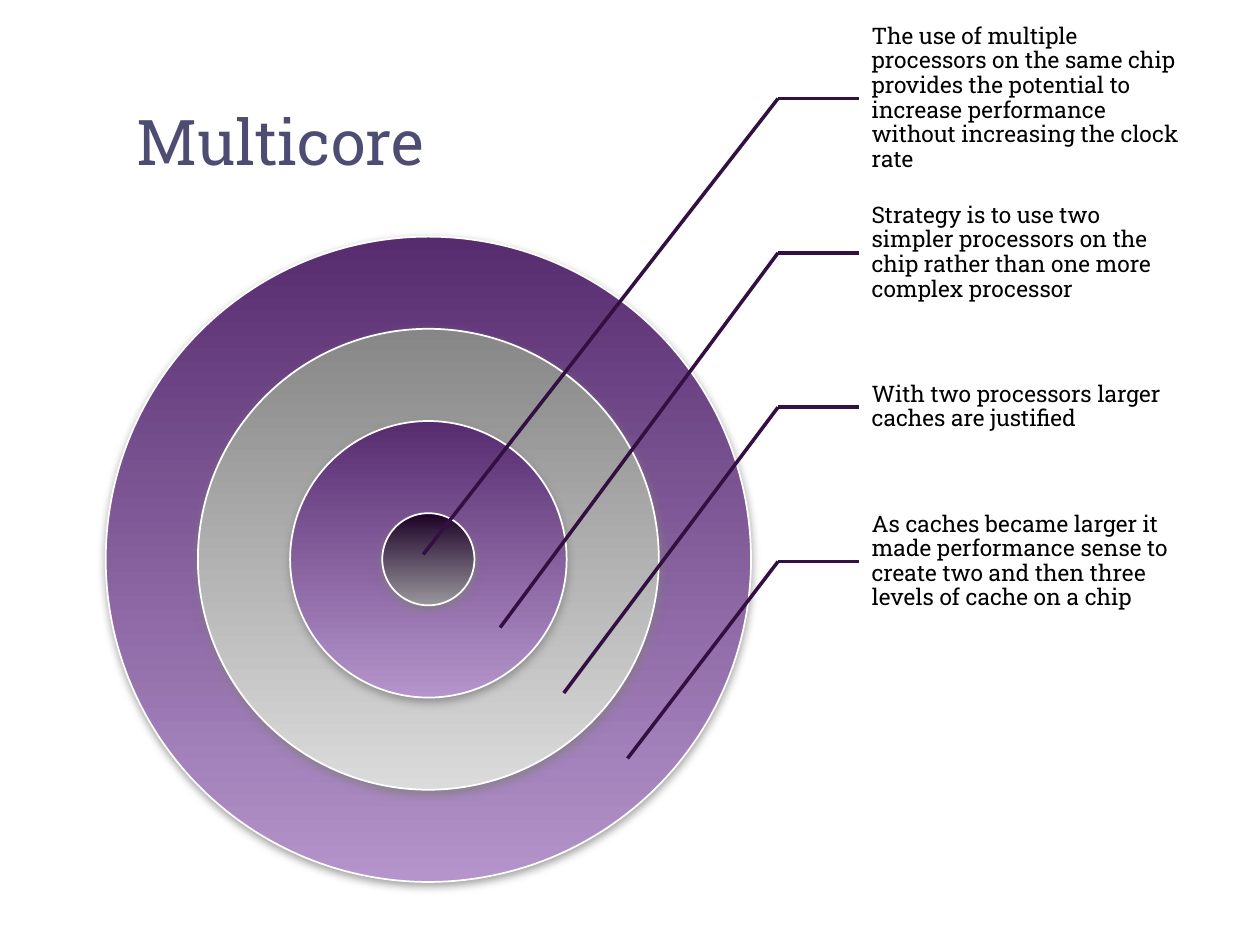
from dataclasses import dataclass

from lxml.etree import SubElement
from pptx import Presentation
from pptx.dml.color import RGBColor
from pptx.enum.shapes import MSO_CONNECTOR, MSO_SHAPE
from pptx.enum.text import MSO_ANCHOR, PP_ALIGN
from pptx.oxml.ns import qn
from pptx.util import Pt


@dataclass(frozen=True)
class Theme:
    font: str = "Roboto Slab"
    title_size: float = 36
    label_size: float = 13
    title_color: str = "4D4D73"
    label_color: str = "000000"
    leader_color: str = "330F42"
    outline_color: str = "FFFFFF"
    shadow_color: str = "808080"
    purple: tuple = ("572C6F", "B494CB")
    gray: tuple = ("878787", "DBDBDB")
    dark: tuple = ("1C0127", "99969C")


def write_text(frame, text, *, font, size, color, anchor, insets, spacing=1.0):
    frame.word_wrap = True
    frame.vertical_anchor = anchor
    frame.margin_left, frame.margin_top, frame.margin_right, frame.margin_bottom = map(Pt, insets)
    paragraph = frame.paragraphs[0]
    paragraph.alignment = PP_ALIGN.LEFT
    paragraph.line_spacing = spacing
    run = paragraph.add_run()
    run.text = text
    run.font.name = font
    run.font.size = Pt(size)
    run.font.color.rgb = RGBColor.from_string(color)


class SlideBuilder:
    """Draws styled elements on one slide, with all lengths in points."""

    def __init__(self, slide, theme):
        self.slide = slide
        self.theme = theme

    def title(self, text, left, top, width, height):
        shape = self.slide.shapes.title
        shape.left, shape.top, shape.width, shape.height = map(Pt, (left, top, width, height))
        write_text(shape.text_frame, text, font=self.theme.font, size=self.theme.title_size,
                   color=self.theme.title_color, anchor=MSO_ANCHOR.TOP, insets=(7.2, 3.6, 7.2, 3.6))

    def disc(self, center_x, center_y, diameter, colors):
        shape = self.slide.shapes.add_shape(
            MSO_SHAPE.OVAL, Pt(center_x - diameter / 2), Pt(center_y - diameter / 2),
            Pt(diameter), Pt(diameter))
        shape.fill.gradient()
        shape.fill.gradient_angle = 270
        for stop, position, color in zip(shape.fill.gradient_stops, (0, 1), colors):
            stop.position = position
            stop.color.rgb = RGBColor.from_string(color)
        shape.line.color.rgb = RGBColor.from_string(self.theme.outline_color)
        shape.line.width = Pt(1)
        self.soft_shadow(shape)

    def soft_shadow(self, shape):
        shape.shadow.inherit = False
        effects = shape._element.spPr.find(qn("a:effectLst"))
        shadow = SubElement(effects, qn("a:outerShdw"), blurRad=str(Pt(5)), dist=str(Pt(2)),
                            dir="5400000", rotWithShape="0")
        color = SubElement(shadow, qn("a:srgbClr"), val=self.theme.shadow_color)
        SubElement(color, qn("a:alpha"), val="75000")

    def label(self, text, left, top, width, height):
        box = self.slide.shapes.add_textbox(Pt(left), Pt(top), Pt(width), Pt(height))
        write_text(box.text_frame, text, font=self.theme.font, size=self.theme.label_size,
                   color=self.theme.label_color, anchor=MSO_ANCHOR.MIDDLE,
                   insets=(7.2, 1.3, 1.3, 1.3), spacing=0.9)

    def line(self, start, end):
        connector = self.slide.shapes.add_connector(
            MSO_CONNECTOR.STRAIGHT, *map(Pt, (*start, *end)))
        connector.line.color.rgb = RGBColor.from_string(self.theme.leader_color)
        connector.line.width = Pt(2)
        SubElement(connector._element.spPr, qn("a:effectLst"))


def main():
    presentation = Presentation()
    presentation.slide_width, presentation.slide_height = Pt(720), Pt(540)
    slide = presentation.slides.add_slide(presentation.slide_layouts[5])
    theme = Theme()
    builder = SlideBuilder(slide, theme)

    builder.title("Multicore", 70.6, 54.7, 594.7, 87.8)

    core_diameter = 52.68
    rings = ((7, theme.purple), (5, theme.gray), (3, theme.purple), (1, theme.dark))
    for multiple, colors in rings:
        builder.disc(244.8, 319.6, core_diameter * multiple, colors)

    label_left, label_top, label_width, label_height = 491, 12.2, 184.3, 88.2
    elbow_x = 444.6
    callouts = (
        ("The use of multiple processors on the same chip provides the potential to "
         "increase performance without increasing the clock rate", (241.9, 316.8)),
        ("Strategy is to use two simpler processors on the chip rather than one more "
         "complex processor", (285.8, 358.6)),
        ("With two processors larger caches are justified", (322.2, 396)),
        ("As caches became larger it made performance sense to create two and then three "
         "levels of cache on a chip", (358.6, 433.4)),
    )
    for index, (text, target) in enumerate(callouts):
        top = label_top + index * label_height
        elbow = (elbow_x, top + label_height / 2)
        builder.label(text, label_left, top, label_width, label_height)
        builder.line(elbow, (label_left, elbow[1]))
        builder.line(elbow, target)

    presentation.save("out.pptx")


if __name__ == "__main__":
    main()
